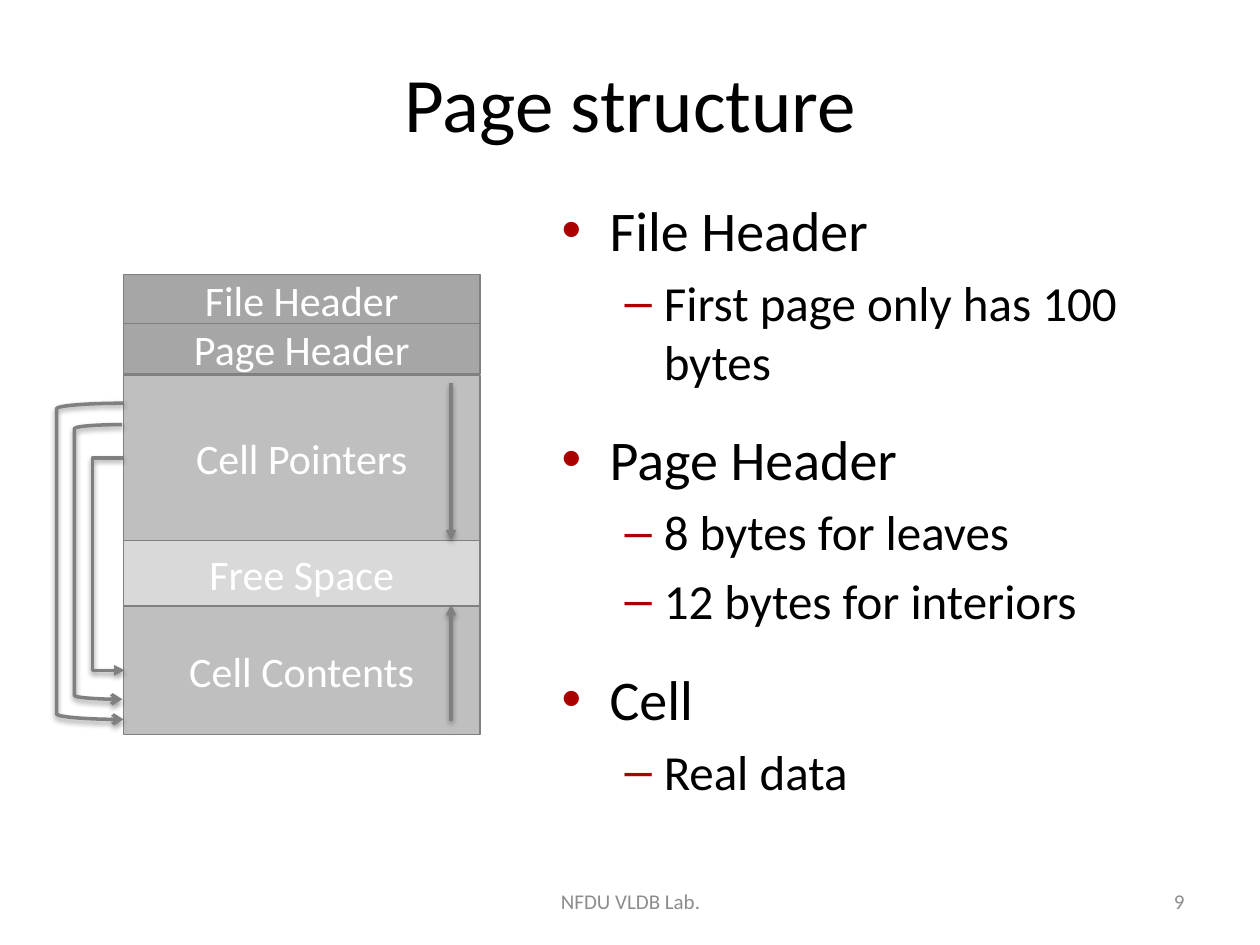
"""Build the page structure slide: a stacked page diagram beside a bulleted outline."""
from dataclasses import dataclass

import pptx
import pptx.dml.color
import pptx.enum.shapes
import pptx.enum.text
import pptx.oxml
import pptx.oxml.ns
import pptx.util

PX = 9144
FONT = "Calibri"
COLORS = {
    "ink": "000000", "white": "FFFFFF", "footer": "8C8C8C", "bullet": "AA0000",
    "outline": "808080", "header": "A6A6A6", "cell": "BFBFBF", "free": "D9D9D9",
}
ALIGN = pptx.enum.text.PP_ALIGN
ANCHOR = pptx.enum.text.MSO_ANCHOR
SHAPE = pptx.enum.shapes.MSO_SHAPE
CONNECTOR = pptx.enum.shapes.MSO_CONNECTOR


@dataclass(frozen=True)
class Area:
    left: int
    top: int
    width: int
    height: int

    def emu(self) -> list[int]:
        return [px(n) for n in (self.left, self.top, self.width, self.height)]


@dataclass(frozen=True)
class Section:
    label: str
    top: int
    height: int
    color: str


@dataclass(frozen=True)
class Level:
    size: int
    margin: int
    hanging: int
    before: float
    mark: str


@dataclass(frozen=True)
class Growth:
    start: int
    end: int


STACK_LEFT, STACK_WIDTH, GROWTH_X, ELBOW_REACH = 98, 283, 358, 25
SECTIONS = [
    Section("File Header", 218, 40, "header"),
    Section("Page Header", 257, 40, "header"),
    Section("Cell Pointers", 298, 131, "cell"),
    Section("Free Space", 429, 52, "free"),
    Section("Cell Contents", 481, 102, "cell"),
]
GROWTHS = [Growth(304, 429), Growth(572, 480)]
BRACKETS = [Area(59, 337, 38, 218), Area(45, 320, 53, 251)]
LEVELS = [Level(32, 38, 38, 20, "•"), Level(28, 81, 31, 5.6, "–")]
OUTLINE = [
    (0, "File Header"),
    (1, "First page only has 100 bytes"),
    (0, "Page Header"),
    (1, "8 bytes for leaves"),
    (1, "12 bytes for interiors"),
    (0, "Cell"),
    (1, "Real data"),
]


def px(count: int) -> int:
    return pptx.util.Emu(count * PX)


def rgb(name: str) -> pptx.dml.color.RGBColor:
    return pptx.dml.color.RGBColor.from_string(COLORS[name])


def element(xml: str):
    tag, rest = xml.split(" ", 1)
    return pptx.oxml.parse_xml(f"<{tag} {pptx.oxml.ns.nsdecls('a')} {rest}")


def write(para, text: str, *, size: int, color: str = "ink", align=ALIGN.LEFT) -> None:
    para.alignment = align
    span = para.add_run()
    span.text = text
    span.font.name = FONT
    span.font.size = pptx.util.Pt(size)
    span.font.color.rgb = rgb(color)


def add_text(page, area: Area, text: str, **style) -> None:
    frame = page.shapes.add_textbox(*area.emu()).text_frame
    frame.word_wrap = True
    frame.vertical_anchor = ANCHOR.MIDDLE
    write(frame.paragraphs[0], text, **style)


def add_outline(page, area: Area) -> None:
    frame = page.shapes.add_textbox(*area.emu()).text_frame
    frame.word_wrap = True
    for index, (depth, text) in enumerate(OUTLINE):
        level = LEVELS[depth]
        para = frame.add_paragraph() if index else frame.paragraphs[0]
        para.level = depth
        para.space_before = pptx.util.Pt(level.before)
        write(para, text, size=level.size)
        properties = para._p.get_or_add_pPr()
        properties.set("marL", str(px(level.margin)))
        properties.set("indent", str(px(-level.hanging)))
        properties.append(element(f'a:buClr ><a:srgbClr val="{COLORS["bullet"]}"/></a:buClr>'))
        properties.append(element('a:buFont typeface="Arial"/>'))
        properties.append(element(f'a:buChar char="{level.mark}"/>'))


def add_section(page, section: Section):
    area = Area(STACK_LEFT, section.top, STACK_WIDTH, section.height)
    box = page.shapes.add_shape(SHAPE.RECTANGLE, *area.emu())
    box.shadow.inherit = False
    box.fill.solid()
    box.fill.fore_color.rgb = rgb(section.color)
    box.line.color.rgb = rgb("outline")
    box.line.width = pptx.util.Pt(0.75)
    box.text_frame.word_wrap = True
    box.text_frame.vertical_anchor = ANCHOR.MIDDLE
    write(box.text_frame.paragraphs[0], section.label, size=24, color="white", align=ALIGN.CENTER)
    return box


def style_arrow(arrow, *, end: str, kind: str) -> None:
    arrow.line.color.rgb = rgb("outline")
    arrow.line.width = pptx.util.Pt(2)
    arrow.line._get_or_add_ln().append(element(f'a:{end} type="{kind}"/>'))
    arrow._element.spPr.append(element(
        'a:effectLst ><a:outerShdw blurRad="40000" dist="20000" dir="5400000" rotWithShape="0">'
        '<a:srgbClr val="000000"><a:alpha val="38000"/></a:srgbClr></a:outerShdw></a:effectLst>'))


def add_growth(page, growth: Growth) -> None:
    ends = [px(n) for n in (GROWTH_X, growth.start, GROWTH_X, growth.end)]
    style_arrow(page.shapes.add_connector(CONNECTOR.STRAIGHT, *ends), end="tailEnd", kind="triangle")


def add_elbow(page, source, target) -> None:
    ends = (source.left, source.top, target.left, target.top)
    elbow = page.shapes.add_connector(CONNECTOR.ELBOW, *ends)
    elbow.begin_connect(source, 1)
    elbow.end_connect(target, 1)
    elbow.width = px(1)
    guides = elbow._element.spPr.prstGeom.get_or_add_avLst()
    guides.append(element(f'a:gd name="adj1" fmla="val {-ELBOW_REACH * 100000}"/>'))
    style_arrow(elbow, end="tailEnd", kind="triangle")


def add_bracket(page, area: Area) -> None:
    bracket = page.shapes.add_shape(SHAPE.LEFT_BRACKET, *area.emu())
    bracket.fill.background()
    style_arrow(bracket, end="headEnd", kind="arrow")


def main() -> None:
    deck = pptx.Presentation()
    deck.slide_width, deck.slide_height = px(1000), px(750)
    page = deck.slides.add_slide(deck.slide_layouts[6])
    add_text(page, Area(67, 30, 867, 102), "Page structure", size=44, align=ALIGN.CENTER)
    add_outline(page, Area(436, 150, 521, 524))
    add_text(page, Area(342, 695, 317, 40), "NFDU VLDB Lab.", size=12, color="footer", align=ALIGN.CENTER)
    add_text(page, Area(717, 695, 233, 40), "9", size=12, color="footer", align=ALIGN.RIGHT)
    boxes = {section.label: add_section(page, section) for section in SECTIONS}
    for growth in GROWTHS:
        add_growth(page, growth)
    add_elbow(page, boxes["Cell Pointers"], boxes["Cell Contents"])
    for area in BRACKETS:
        add_bracket(page, area)
    deck.save("out.pptx")


if __name__ == "__main__":
    main()
